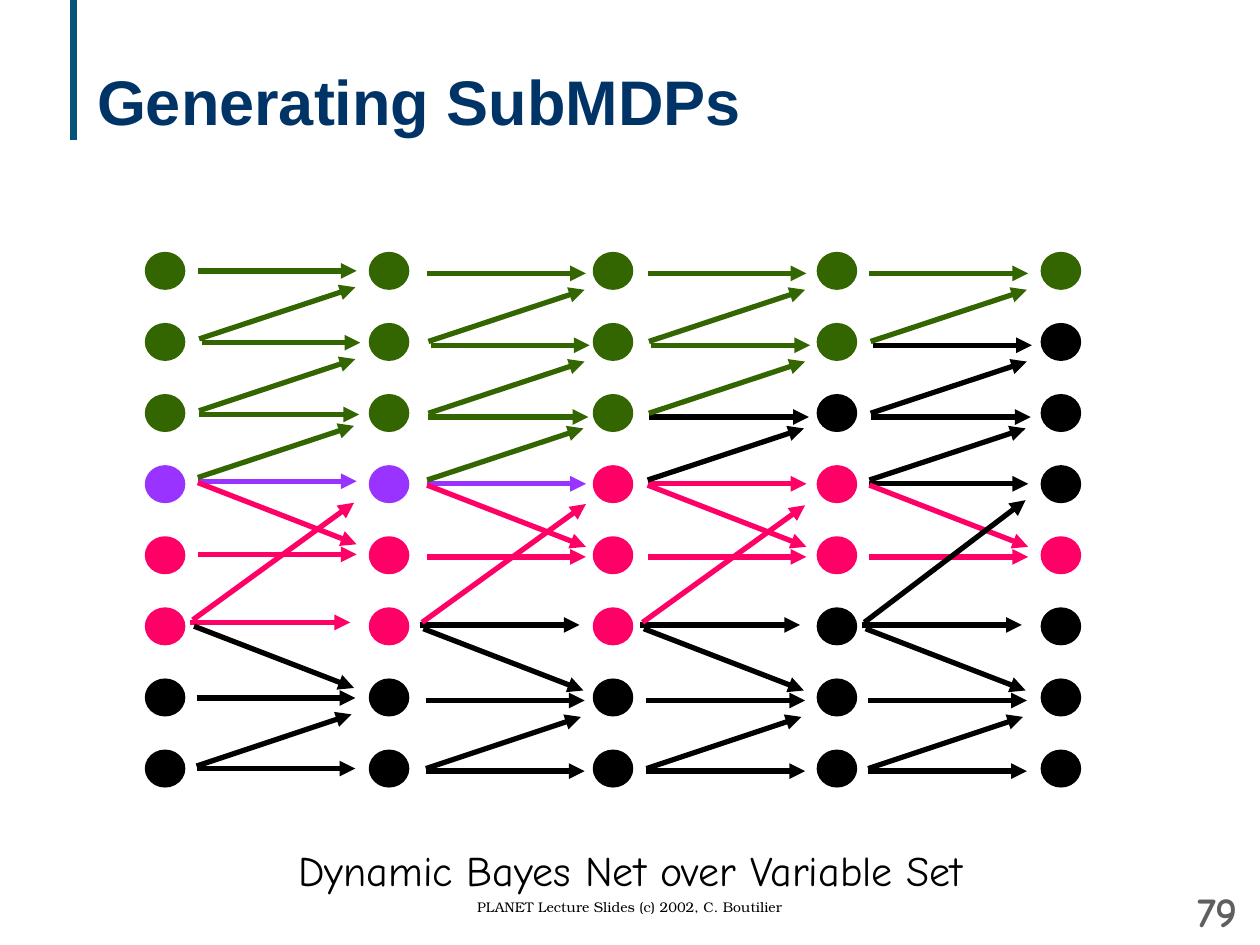
from dataclasses import dataclass

from lxml.etree import SubElement
from pptx import Presentation
from pptx.dml.color import RGBColor as Color
from pptx.enum.shapes import MSO_CONNECTOR as Connector, MSO_SHAPE as Shape
from pptx.enum.text import MSO_ANCHOR as Anchor, MSO_AUTO_SIZE as AutoSize, PP_ALIGN as Align
from pptx.oxml.ns import qn
from pptx.util import Inches, Pt


@dataclass(frozen=True)
class Theme:
    """Colours, fonts and type sizes of the slide."""
    navy: str = "003366"
    teal: str = "07547A"
    green: str = "336600"
    violet: str = "9933FF"
    pink: str = "FF0066"
    black: str = "000000"
    grey: str = "5F5F5F"
    title_font: str = "Arial"
    body_font: str = "Comic Neue"
    credit_font: str = "TeX Gyre Bonum"
    title_size: int = 36
    body_size: int = 24
    credit_size: int = 8
    stroke: int = 3
    rule: int = 4


class SlideBuilder:
    """Draws styled elements on the current slide."""

    def __init__(self, slide, theme):
        self.slide = slide
        self.theme = theme

    def place(self, shape, box):
        """Move and size a shape."""
        shape.left, shape.top, shape.width, shape.height = map(Inches, box)

    def set_text(self, shape, text, font, size, colour, bold=False,
                 align=Align.LEFT, anchor=Anchor.TOP, wrap=True):
        """Fill a shape with one formatted paragraph."""
        frame = shape.text_frame
        frame.text = text
        frame.word_wrap = wrap
        frame.auto_size = AutoSize.NONE
        frame.vertical_anchor = anchor
        paragraph = frame.paragraphs[0]
        paragraph.alignment = align
        for run in paragraph.runs:
            run.font.name, run.font.size, run.font.bold = font, Pt(size), bold
            run.font.color.rgb = Color.from_string(colour)

    def title(self, text, box):
        """Place and format the title placeholder."""
        title = self.slide.shapes.title
        self.place(title, box)
        self.set_text(title, text, self.theme.title_font, self.theme.title_size,
                      self.theme.navy, bold=True, anchor=Anchor.MIDDLE)

    def text(self, text, box, font, size, colour, **style):
        """Add a text box."""
        shape = self.slide.shapes.add_textbox(*map(Inches, box))
        self.set_text(shape, text, font, size, colour, **style)

    def group(self):
        """Add an empty group and return its shapes."""
        return self.slide.shapes.add_group_shape().shapes

    def node(self, shapes, box, colour):
        """Add a filled variable node."""
        shape = shapes.add_shape(Shape.OVAL, *map(Inches, box))
        shape.shadow.inherit = False
        shape.fill.solid()
        shape.fill.fore_color.rgb = Color.from_string(colour)
        shape.line.color.rgb = Color.from_string(colour)
        shape.line.width = Pt(self.theme.stroke)

    def line(self, shapes, ends, colour, width, arrow=False):
        """Add a straight line, with an arrowhead if asked."""
        connector = shapes.add_connector(Connector.STRAIGHT, *map(Inches, ends))
        connector.line.color.rgb = Color.from_string(colour)
        connector.line.width = Pt(width)
        properties = connector.element.spPr
        if arrow:
            SubElement(properties.find(qn("a:ln")), qn("a:tailEnd"), type="triangle")
        SubElement(properties, qn("a:effectLst"))


THEME = Theme()
COLOURS = {"G": THEME.green, "V": THEME.violet, "P": THEME.pink, "K": THEME.black}

NODE_LEFT, NODE_TOP = 1.17, 2.02
NODE_RIGHT, NODE_BOTTOM = 8.28, 5.97
NODE_WIDTH, NODE_HEIGHT = 0.28, 0.26
NODE_COLUMNS = ["GGGVPPKK", "GGGVPPKK", "GGGPPPKK", "GGKPPKKK", "GKKKPKKK"]
COLUMN_STEP = (NODE_RIGHT - NODE_LEFT) / (len(NODE_COLUMNS) - 1)
ROW_STEP = (NODE_BOTTOM - NODE_TOP) / (len(NODE_COLUMNS[0]) - 1)

STAGE_OFFSETS = [(0, 0), (1.82, 0.02), (3.57, 0.02), (5.33, 0.02)]
STAGE_ARROWS = [
    (1.57, 2.15, 2.83, 2.15, "GGGG"),
    (1.56, 6.10, 2.82, 6.10, "KKKK"),
    (1.60, 2.72, 2.86, 2.72, "GGGK"),
    (1.58, 3.29, 2.85, 3.29, "GGKK"),
    (1.57, 3.82, 2.83, 3.82, "VVPK"),
    (1.57, 4.40, 2.83, 4.40, "PPPP"),
    (1.51, 4.94, 2.78, 4.94, "PKKK"),
    (1.56, 5.54, 2.82, 5.54, "KKKK"),
    (1.58, 2.69, 2.82, 2.28, "GGGG"),
    (1.58, 3.26, 2.82, 2.85, "GGGK"),
    (1.57, 3.79, 2.81, 3.38, "GGKK"),
    (1.57, 3.83, 2.83, 4.32, "PPPP"),
    (1.54, 4.97, 2.81, 5.46, "KKKK"),
    (1.56, 6.08, 2.79, 5.67, "KKKK"),
]
CROSSING_START = (1.53, 4.92)
CROSSING_ENDS = [(2.81, 3.99), (4.65, 4.00), (6.39, 4.01), (8.14, 3.97)]
CROSSING_COLOURS = "PPPK"


def draw_column(builder, shapes, column):
    """Draw the nodes of one time step."""
    for row, key in enumerate(NODE_COLUMNS[column]):
        box = (NODE_LEFT + column * COLUMN_STEP, NODE_TOP + row * ROW_STEP,
               NODE_WIDTH, NODE_HEIGHT)
        builder.node(shapes, box, COLOURS[key])


def draw_stage(builder, stage):
    """Draw one time step and its arrows to the next one."""
    shapes = builder.group()
    draw_column(builder, shapes, stage)
    shift_x, shift_y = STAGE_OFFSETS[stage]
    arrows = [((x1 + shift_x, y1 + shift_y, x2 + shift_x, y2 + shift_y), keys)
              for x1, y1, x2, y2, keys in STAGE_ARROWS]
    start_x, start_y = CROSSING_START
    arrows.append(((start_x + shift_x, start_y + shift_y, *CROSSING_ENDS[stage]),
                   CROSSING_COLOURS))
    for ends, keys in arrows:
        builder.line(shapes, ends, COLOURS[keys[stage]], THEME.stroke, arrow=True)


def main():
    """Build and save the slide."""
    presentation = Presentation()
    presentation.slide_width, presentation.slide_height = Inches(10), Inches(7.5)
    slide = presentation.slides.add_slide(presentation.slide_layouts[5])
    builder = SlideBuilder(slide, THEME)

    builder.line(slide.shapes, (0.58, 0, 0.58, 1.11), THEME.teal, THEME.rule)
    builder.title("Generating SubMDPs", (0.67, 0.17, 8.92, 1.25))
    draw_column(builder, slide.shapes, len(NODE_COLUMNS) - 1)
    for stage in reversed(range(len(STAGE_OFFSETS))):
        draw_stage(builder, stage)
    builder.text("Dynamic Bayes Net over Variable Set", (2.25, 6.65, 5.51, 0.5),
                 THEME.body_font, THEME.body_size, THEME.black,
                 align=Align.CENTER, wrap=False)
    builder.text("PLANET Lecture Slides (c) 2002, C. Boutilier", (2.75, 7.08, 4.5, 0.25),
                 THEME.credit_font, THEME.credit_size, THEME.black, align=Align.CENTER)
    builder.text("79", (9.2, 7.03, 0.72, 0.4), THEME.body_font, THEME.body_size,
                 THEME.grey, bold=True, align=Align.RIGHT, anchor=Anchor.MIDDLE)
    presentation.save("out.pptx")


if __name__ == "__main__":
    main()
